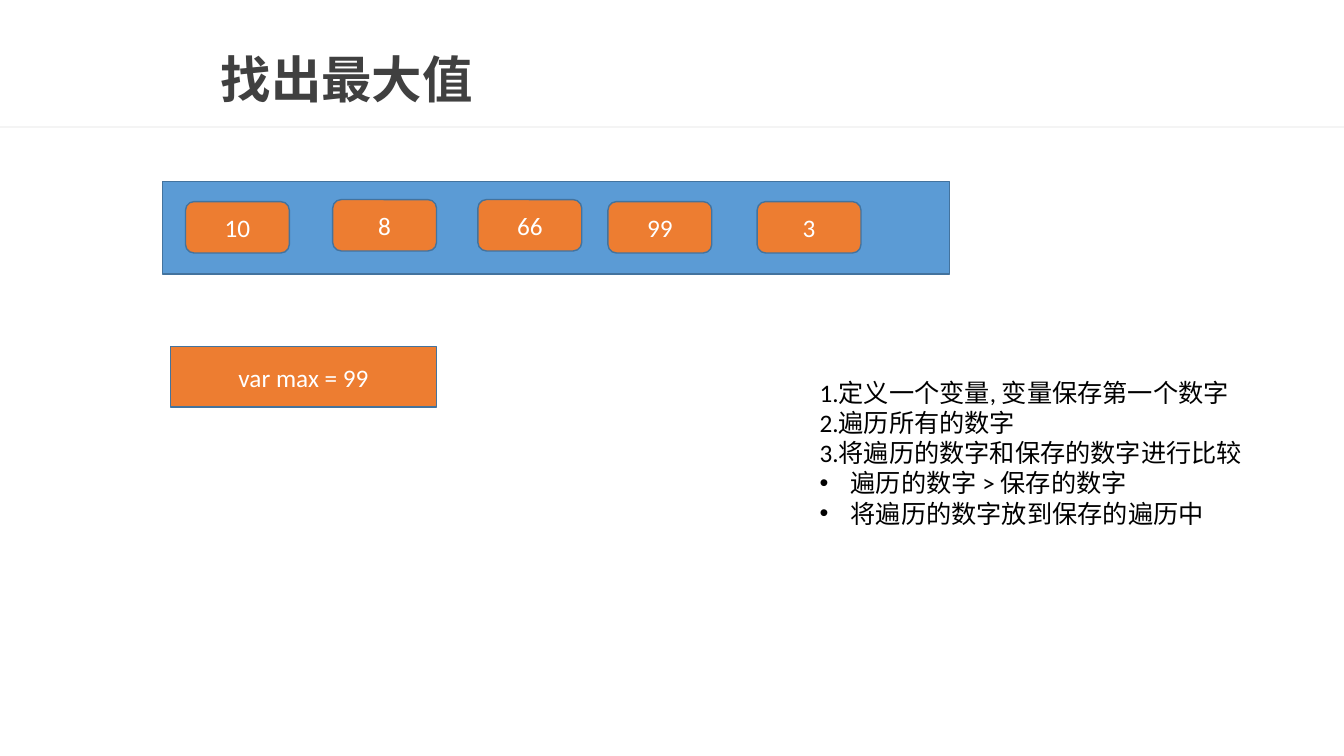
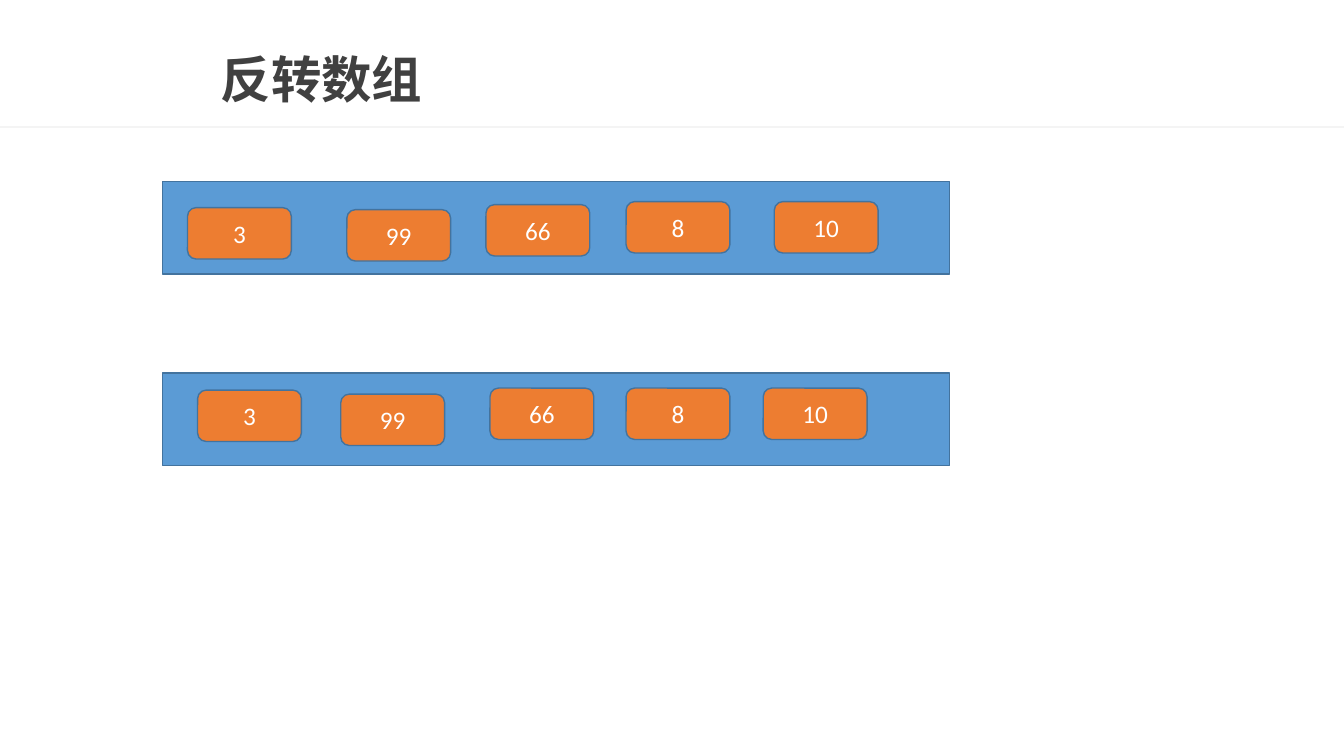
from lxml import etree
from pptx import Presentation
from pptx.dml.color import RGBColor
from pptx.enum.shapes import MSO_SHAPE
from pptx.enum.text import MSO_ANCHOR, MSO_AUTO_SIZE, PP_ALIGN
from pptx.oxml.ns import qn
from pptx.util import Inches, Pt

RECT, ROUND = MSO_SHAPE.RECTANGLE, MSO_SHAPE.ROUNDED_RECTANGLE
MIDDLE, CENTER = MSO_ANCHOR.MIDDLE, PP_ALIGN.CENTER
FIT = MSO_AUTO_SIZE.SHAPE_TO_FIT_TEXT

BLUE, ORANGE, EDGE = "5B9BD5", "ED7D31", "43739E"
WHITE, BLACK, TITLE_GRAY, RULE_GRAY = "FFFFFF", "000000", "404040", "F4F4F4"
LATIN, CJK = "Calibri", "Noto Sans CJK SC"

SLIDE_W, SLIDE_H = 13.33, 7.5
BAND_X, BAND_W, BAND_H = 1.61, 7.81, 0.92
CELL_W, CELL_H = 1.03, 0.51
BULLET_INDENT = 0.31

SLIDES = [
    {
        "title": "找出最大值",
        "arrays": [
            (1.8, [("10", 0.23, 0.2), ("8", 1.69, 0.18), ("66", 3.13, 0.18),
                   ("99", 4.42, 0.2), ("3", 5.9, 0.2)]),
        ],
        "variable": "var max = 99",
        "steps": [
            ("1.定义一个变量, 变量保存第一个数字", False),
            ("2.遍历所有的数字", False),
            ("3.将遍历的数字和保存的数字进行比较", False),
            ("遍历的数字 > 保存的数字", True),
            ("将遍历的数字放到保存的遍历中", True),
        ],
    },
    {
        "title": "反转数组",
        "arrays": [
            (1.8, [("3", 0.25, 0.26), ("99", 1.83, 0.28), ("66", 3.21, 0.23),
                   ("8", 4.6, 0.2), ("10", 6.07, 0.2)]),
            (3.7, [("3", 0.35, 0.17), ("99", 1.77, 0.21), ("66", 3.25, 0.15),
                   ("8", 4.6, 0.15), ("10", 5.96, 0.15)]),
        ],
    },
]


def rgb(color):
    return RGBColor.from_string(color)


def style(p, size, color, font=LATIN, bold=False):
    for r in p.runs:
        r.font.size, r.font.bold, r.font.name = Pt(size), bold, font
        r.font.color.rgb = rgb(color)
        ea = etree.SubElement(r.font._element, qn("a:ea"))
        ea.set("typeface", CJK)


def add_box(s, kind, x, y, w, h, fill, line=EDGE, text=""):
    sp = s.shapes.add_shape(kind, Inches(x), Inches(y), Inches(w), Inches(h))
    sp.shadow.inherit = False
    sp.fill.solid()
    sp.fill.fore_color.rgb = rgb(fill)
    if line:
        sp.line.color.rgb = rgb(line)
        sp.line.width = Pt(1)
    else:
        sp.line.fill.background()
    if text:
        tf = sp.text_frame
        tf.text = text
        tf.vertical_anchor = MIDDLE
        tf.paragraphs[0].alignment = CENTER
        style(tf.paragraphs[0], 18, WHITE)


def add_text(s, x, y, w, h):
    tf = s.shapes.add_textbox(Inches(x), Inches(y), Inches(w), Inches(h)).text_frame
    tf.word_wrap = True
    return tf


def add_frame(s, title):
    add_box(s, RECT, 0, 1.25, SLIDE_W, 0.02, RULE_GRAY, None)
    tf = add_text(s, 2.09, 0.43, 11.03, 0.78)
    tf.vertical_anchor = MIDDLE
    tf.text = title
    p = tf.paragraphs[0]
    p.line_spacing = 0.9
    style(p, 36, TITLE_GRAY, CJK, True)


def add_array(s, top, cells):
    add_box(s, RECT, BAND_X, top, BAND_W, BAND_H, BLUE)
    for text, dx, dy in cells:
        add_box(s, ROUND, BAND_X + dx, top + dy, CELL_W, CELL_H, ORANGE, text=text)


def add_bullet(p):
    pPr = p._p.get_or_add_pPr()
    pPr.set("marL", str(Inches(BULLET_INDENT)))
    pPr.set("indent", str(-Inches(BULLET_INDENT)))
    etree.SubElement(pPr, qn("a:buFont")).set("typeface", "Arial")
    etree.SubElement(pPr, qn("a:buChar")).set("char", "•")


def add_steps(s, steps):
    tf = add_text(s, 8.03, 3.69, 4.43, 1.62)
    tf.auto_size = FIT
    tf.text = "\n".join(text for text, _ in steps)
    for p, (_, bulleted) in zip(tf.paragraphs, steps):
        style(p, 18, BLACK)
        if bulleted:
            add_bullet(p)


def main():
    prs = Presentation()
    prs.slide_width, prs.slide_height = Inches(SLIDE_W), Inches(SLIDE_H)
    for content in SLIDES:
        s = prs.slides.add_slide(prs.slide_layouts[6])
        add_frame(s, content["title"])
        for top, cells in content["arrays"]:
            add_array(s, top, cells)
        if "variable" in content:
            add_box(s, RECT, 1.69, 3.44, 2.64, 0.6, ORANGE, text=content["variable"])
        if "steps" in content:
            add_steps(s, content["steps"])
    prs.save("out.pptx")


if __name__ == "__main__":
    main()
